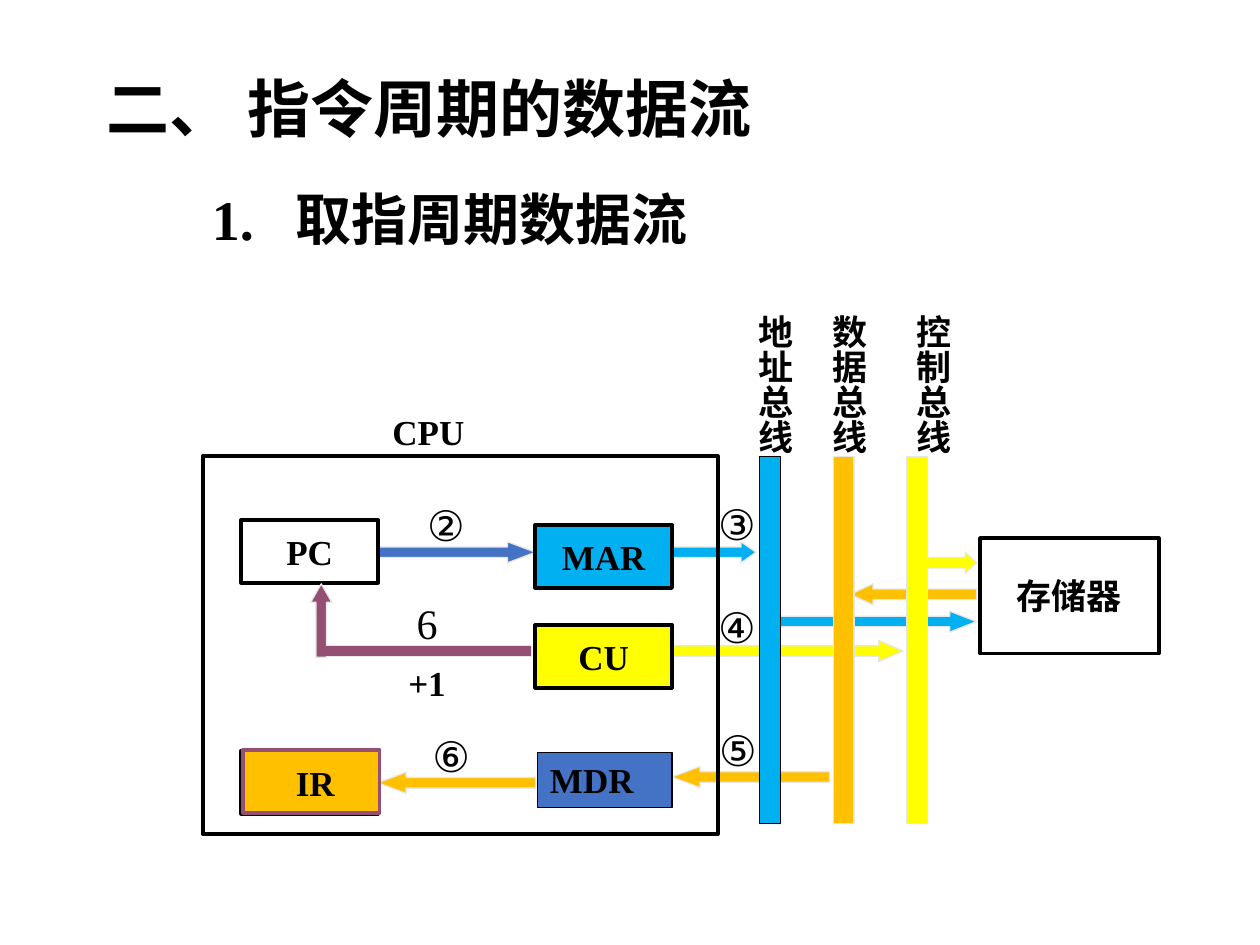
from dataclasses import dataclass

from pptx import Presentation
from pptx import util as u
from pptx.dml.color import RGBColor
from pptx.enum import shapes, text
from pptx.oxml.ns import qn


@dataclass(frozen=True)
class Theme:
    """Colours, fonts and type sizes of the slide."""
    black: str = "000000"
    grey: str = "E7E6E6"
    address: str = "00B0F0"
    data: str = "FFC000"
    control: str = "FFFF00"
    blue: str = "4472C4"
    purple: str = "954F72"
    serif: str = "Times New Roman"
    sans: str = "Arial"
    title: int = 36
    heading: int = 32
    label: int = 20
    step: int = 24
    thin: float = 0.75
    thick: float = 2.25


T = Theme()
SHAPE = shapes.MSO_SHAPE
COLS, ROWS = 120, 90
CELL = u.Inches(10) / COLS


def grid(*cells):
    """Turn grid columns and rows into lengths."""
    return [u.Emu(round(c * CELL)) for c in cells]


def write(sp, content, size=T.label, font=T.serif, bold=True, wrap=False,
          align=text.PP_ALIGN.LEFT, anchor=text.MSO_ANCHOR.TOP, tab=None):
    """Put one styled run in a shape."""
    tf = sp.text_frame
    tf.word_wrap = wrap
    tf.vertical_anchor = anchor
    p = tf.paragraphs[0]
    p.alignment = align
    if tab:
        stops = p._p.get_or_add_pPr().makeelement(qn("a:tabLst"), {})
        p._p.pPr.append(stops)
        stops.append(stops.makeelement(
            qn("a:tab"), {"pos": str(u.Inches(tab)), "algn": "l"}))
    r = p.add_run()
    r.text = content
    r.font.name, r.font.size, r.font.bold = font, u.Pt(size), bold
    r.font.color.rgb = RGBColor.from_string(T.black)
    return tf


def block(s, x, y, w, h, fill=None, line=T.black, width=T.thick,
          kind=SHAPE.RECTANGLE):
    """Draw an outlined shape with an optional fill."""
    sp = s.shapes.add_shape(kind, *grid(x, y, w, h))
    sp.shadow.inherit = False
    if fill:
        sp.fill.solid()
        sp.fill.fore_color.rgb = RGBColor.from_string(fill)
    else:
        sp.fill.background()
    sp.line.color.rgb = RGBColor.from_string(line)
    sp.line.width = u.Pt(width)
    return sp


def unit(s, name, x, y, w=13, h=6, fill=None):
    """Draw a named component with centred text."""
    write(block(s, x, y, w, h, fill), name, align=text.PP_ALIGN.CENTER,
          anchor=text.MSO_ANCHOR.MIDDLE)


def arrow(s, x, y, w, fill, head=1.33, back=False):
    """Draw a horizontal flow arrow."""
    sp = block(s, x, y, w, 2, fill, T.grey, T.thin, SHAPE.RIGHT_ARROW)
    sp.adjustments[0], sp.adjustments[1] = 0.5, head
    sp.rotation = 180 if back else 0


def label(s, content, x, y, w, h, **style):
    """Add a text box that grows with its text."""
    tf = write(s.shapes.add_textbox(*grid(x, y, w, h)), content, **style)
    tf.auto_size = text.MSO_AUTO_SIZE.SHAPE_TO_FIT_TEXT
    return tf


def bus(s, name, x, name_x, fill, line):
    """Draw a vertical bus with its name stacked above it."""
    block(s, x, 43.45, 2, 35, fill, line, T.thin)
    tf = label(s, name, name_x, 28.8, 6.4, 14.6)
    tf.margin_left = tf.margin_right = u.Inches(0.05)
    tf.margin_top = tf.margin_bottom = u.Inches(0.1)
    tf._txBody.bodyPr.set("vert", "eaVert")


def increment(s):
    """Draw the angled arrow that raises the program counter."""
    block(s, 30.6, 61.5, 20, 1, T.purple, T.grey, T.thin)
    sp = block(s, 29.6, 55.6, 2, 7, T.purple, T.grey, T.thin, SHAPE.UP_ARROW)
    sp.adjustments[0], sp.adjustments[1] = 0.5, 0.88
    block(s, 30.7, 61.6, 1, 0.8, T.purple, T.purple, T.thin)
    label(s, "+1", 37.7, 62.4, 21, 5.3, wrap=True)


def main():
    """Build the slide of the fetch cycle data flow."""
    prs = Presentation()
    prs.slide_width, prs.slide_height = grid(COLS, ROWS)
    s = prs.slides.add_slide(prs.slide_layouts[6])

    label(s, "二、 指令周期的数据流", 9, 6, 82, 8.4, size=T.title, wrap=True)
    label(s, "1.\t取指周期数据流", 19, 17, 75, 7.7, size=T.heading,
          wrap=True, tab=0.66)

    for x, y, w, fill, head, back in (
            (36, 73.55, 15, T.data, 1.33, True),
            (36, 51.6, 15, T.blue, 1.33, False),
            (64, 51.6, 8, T.address, 0.71, False),
            (64, 73, 15, T.data, 1.33, True),
            (64, 61, 22, T.control, 1.15, False),
            (74, 58.2, 19, T.address, 1.27, False),
            (81, 55.6, 12, T.data, 1.07, True),
            (87, 52.6, 6, T.control, 0.53, False)):
        arrow(s, x, y, w, fill, head, back)

    write(block(s, 51.2, 71.65, 12.8, 5.25, T.blue, width=T.thin), "MDR",
          wrap=True)
    unit(s, "CU", 51, 59.5, fill=T.control)
    unit(s, "MAR", 51, 50, fill=T.address)
    unit(s, "PC", 23, 49.5)

    block(s, 19.35, 43.45, 49, 36)
    label(s, "CPU", 36.2, 38.5, 9.6, 5.3)
    for i, (name, name_x, fill, line) in enumerate((
            ("地址总线", 70, T.address, T.black),
            ("数据总线", 77, T.data, T.grey),
            ("控制总线", 85, T.control, T.grey))):
        bus(s, name, 72.35 + 7 * i, name_x, fill, line)
    unit(s, "存储器", 93.35, 51.25, 17, 11)

    block(s, 23, 71.5, 13, 6)
    block(s, 23.15, 71.4, 13, 6, T.data, T.purple)
    label(s, "IR", 27, 71.9, 6.2, 5.3)
    increment(s)

    for mark, x, y in (("②", 39.5, 47), ("③", 67.2, 46.9), ("④", 67.2, 56.7),
                       ("⑥", 40, 69), ("⑤", 67.3, 68.4)):
        label(s, mark, x, y, 5.9, 6, size=T.step, font=T.sans, bold=False)
    label(s, "6", 38.5, 56.3, 4.4, 6, size=T.step, bold=False)

    prs.save("out.pptx")


if __name__ == "__main__":
    main()
